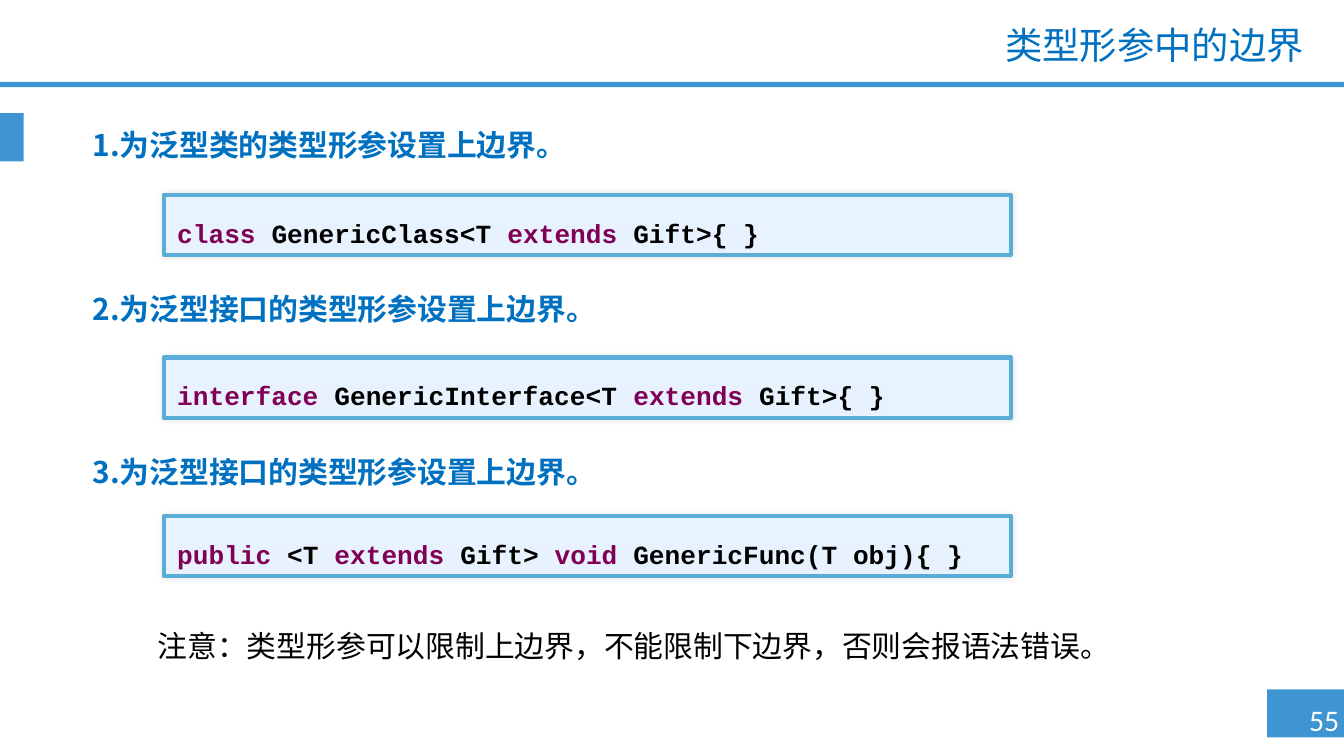
from lxml.etree import SubElement as Sub
from pptx import Presentation as Deck
from pptx.dml.color import RGBColor as Rgb
from pptx.enum.shapes import MSO_SHAPE as Kind
from pptx.enum.text import MSO_ANCHOR as Anchor, PP_ALIGN as Align
from pptx.oxml.ns import qn
from pptx.util import Cm, Pt

BLUE = "3F95D2"
INK = "0070C0"
KEY = "7F0055"
SANS = "Noto Sans CJK SC"
ITEMS = [
    (2.34, 3.68, "1.为泛型类的类型形参设置上边界。",
     ["class", " GenericClass<T ", "extends", " Gift>{ }"]),
    (5.44, 6.76, "2.为泛型接口的类型形参设置上边界。",
     ["interface", " GenericInterface<T ", "extends", " Gift>{ }"]),
    (8.53, 9.75, "3.为泛型接口的类型形参设置上边界。",
     ["public", " <T ", "extends", " Gift> ", "void", " GenericFunc(T obj){ }"]),
]


def color(hue):
    return Rgb.from_string(hue)


def style(run, size, face, hue, bold=False):
    font = run.font
    font.size, font.name, font.bold = Pt(size), face, bold
    font.color.rgb = color(hue)
    east = Sub(font._element, qn("a:ea"))
    east.set("typeface", SANS)


def block(slide, box, kind=Kind.RECTANGLE, fill=BLUE):
    shape = slide.shapes.add_shape(kind, *map(Cm, box))
    shape.shadow.inherit = False
    shape.fill.solid()
    shape.fill.fore_color.rgb = color(fill)
    shape.line.fill.background()
    return shape


def label(slide, box, text, size, face, hue, align=Align.LEFT,
          bold=False, space=1.0, wrap=True, anchor=Anchor.TOP):
    frame = slide.shapes.add_textbox(*map(Cm, box)).text_frame
    frame.word_wrap = wrap
    frame.vertical_anchor = anchor
    frame.text = text
    para = frame.paragraphs[0]
    para.alignment, para.line_spacing = align, space
    style(para.runs[0], size, face, hue, bold)


def glow(shape):
    effects = shape._element.spPr.find(qn("a:effectLst"))
    outer = Sub(effects, qn("a:outerShdw"), blurRad=str(Pt(3)), dist="0", dir="0")
    tint = Sub(outer, qn("a:srgbClr"), val="000000")
    Sub(tint, qn("a:alpha"), val="10000")


def mark(run, hue):
    props = run.font._element
    light = Sub(props, qn("a:highlight"))
    Sub(light, qn("a:srgbClr"), val=hue)
    props.find(qn("a:latin")).addprevious(light)


def code(slide, box, parts):
    panel = block(slide, box, Kind.ROUNDED_RECTANGLE, "E7F4FF")
    panel.adjustments[0] = 0
    panel.line.color.rgb = color("5AADD6")
    panel.line.width = Pt(2.25)
    glow(panel)
    frame = panel.text_frame
    frame.word_wrap = True
    frame.vertical_anchor = Anchor.TOP
    para = frame.paragraphs[0]
    para.alignment, para.line_spacing = Align.LEFT, 1.5
    for spot, part in enumerate(parts):
        run = para.add_run()
        run.text = part
        style(run, 14, "Courier New", "000000" if spot % 2 else KEY, True)
        mark(run, "E8F2FE")


def header(slide, box):
    left, top, width, height = box
    block(slide, (left, top + height - 0.1, width, 0.1))
    label(slide, (left + 6.1, top + 0.38, 18.8, 1.02), "类型形参中的边界",
          20, "Calibri", INK, Align.RIGHT, space=0.9, anchor=Anchor.MIDDLE)


def body(slide, box):
    left, top, width, height = box
    block(slide, (left, top, 0.45, 0.91))
    for head, panel, title, parts in ITEMS:
        label(slide, (left + 1.5, head, 20.8, 0.99), title, 16, SANS, INK,
              bold=True, space=0.9)
        code(slide, (left + 3.1, panel, 16, 1.14), parts)
    label(slide, (left + 2.49, top + height - 0.94, 19, 0.94),
          "注意：类型形参可以限制上边界，不能限制下边界，否则会报语法错误。",
          16, "Arial", "000000", Align.CENTER)


def footer(slide, box):
    left, top, width, height = box
    block(slide, box)
    label(slide, (left + 0.48, top + 0.1, 1.32, 0.94), "55 ", 16, "Calibri",
          "FFFFFF", Align.CENTER, wrap=False)


def main():
    deck = Deck()
    deck.slide_width, deck.slide_height = Cm(25.4), Cm(14.29)
    slide = deck.slides.add_slide(deck.slide_layouts[6])
    header(slide, (0, 0, 25.4, 1.65))
    body(slide, (0, 2.14, 25.4, 10.54))
    footer(slide, (23.95, 13.03, 1.45, 0.91))
    deck.save("out.pptx")


if __name__ == "__main__":
    main()
